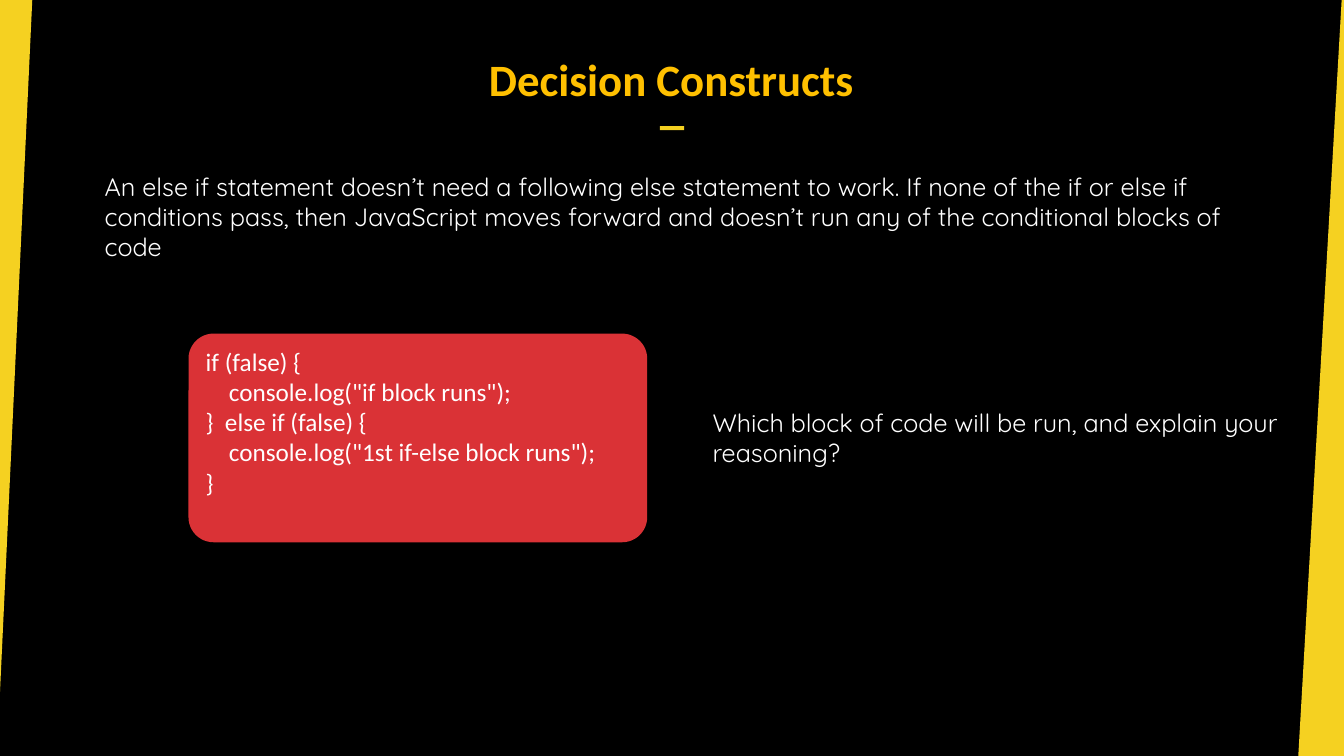
import pptx
import pptx.dml.color
import pptx.enum.shapes
import pptx.enum.text
import pptx.util

COLOURS = {
    "black": "000000",
    "yellow": "F5D121",
    "gold": "FFC000",
    "red": "DA3236",
    "white": "FFFFFF",
}
WIDTH = pptx.util.Inches(13.333)
HEIGHT = pptx.util.Inches(7.5)
CODE_INDENT = pptx.util.Inches(0.23)
ANCHOR = pptx.enum.text.MSO_ANCHOR
ALIGN = pptx.enum.text.PP_ALIGN
SHAPE = pptx.enum.shapes.MSO_SHAPE

TITLE_FONT = {"name": "Calibri", "size": pptx.util.Pt(32), "bold": True}
CODE_FONT = {"name": "Calibri", "size": pptx.util.Pt(18)}
PROSE_FONT = {"name": "Quicksand", "size": pptx.util.Pt(18)}

STATEMENT = (
    "An else if statement doesn’t need a following else statement to work. "
    "If none of the if or else if conditions pass, then JavaScript moves forward "
    "and doesn’t run any of the conditional blocks of code"
)
QUESTION = "Which block of code will be run, and explain your reasoning?"
CODE_LINES = [
    (0, "if (false) {"),
    (1, 'console.log("if block runs");'),
    (0, "}\u00a0 else if (false) {"),
    (1, 'console.log("1st if-else block runs");'),
    (0, "}"),
]


def across(percent):
    return round(WIDTH * percent / 100)


def down(percent):
    return round(HEIGHT * percent / 100)


def area(left, top, width, height):
    return across(left), down(top), across(width), down(height)


def apply(target, values):
    for name, value in values.items():
        setattr(target, name, value)


def colour(name):
    return pptx.dml.color.RGBColor.from_string(COLOURS[name])


def paint(shape, name):
    shape.shadow.inherit = False
    shape.fill.solid()
    shape.fill.fore_color.rgb = colour(name)
    shape.line.fill.background()


def write(shape, lines, font, ink="white", align=ALIGN.LEFT, **frame_format):
    frame = shape.text_frame
    apply(frame, {"word_wrap": True, "vertical_anchor": ANCHOR.TOP, **frame_format})
    for number, (level, words) in enumerate(lines):
        para = frame.add_paragraph() if number else frame.paragraphs[0]
        para.alignment = align
        if level:
            para._p.get_or_add_pPr().set("marL", str(level * CODE_INDENT))
        span = para.add_run()
        span.text = words
        apply(span.font, font)
        span.font.color.rgb = colour(ink)


def add_wedge(page, corners):
    points = [(across(x), down(y)) for x, y in corners]
    builder = page.shapes.build_freeform(*points[0])
    builder.add_line_segments(points[1:], close=True)
    paint(builder.convert_to_shape(), "yellow")


def add_box(page, kind, place, fill):
    box = page.shapes.add_shape(kind, *area(*place))
    paint(box, fill)
    return box


def add_prose(page, place, words):
    write(page.shapes.add_textbox(*area(*place)), [(0, words)], PROSE_FONT)


def add_title(page, place, words):
    title = page.shapes.title
    apply(title, dict(zip(("left", "top", "width", "height"), area(*place))))
    write(title, [(0, words)], TITLE_FONT, "gold", ALIGN.CENTER,
          vertical_anchor=ANCHOR.BOTTOM, margin_left=0, margin_right=0, margin_bottom=0)


def main():
    deck = pptx.Presentation()
    apply(deck, {"slide_width": WIDTH, "slide_height": HEIGHT})
    page = deck.slides.add_slide(deck.slide_layouts[5])
    page.background.fill.solid()
    page.background.fill.fore_color.rgb = colour("black")

    add_wedge(page, [(0, 0), (2.4, 0), (0, 91.5)])
    add_wedge(page, [(99.83, 0), (100, 0), (100, 100), (96.6, 100)])
    add_title(page, (35.63, 4, 28.65, 10), "Decision Constructs")
    add_box(page, SHAPE.RECTANGLE, (49.1, 16.67, 1.8, 0.53), "yellow")
    add_prose(page, (7.05, 22, 85.88, 13.5), STATEMENT)

    code = add_box(page, SHAPE.ROUNDED_RECTANGLE, (14.03, 44.13, 34.13, 27.6), "red")
    code.adjustments[0] = 0.12
    write(code, CODE_LINES, CODE_FONT)
    add_prose(page, (52.28, 53.2, 44.33, 13.5), QUESTION)

    deck.save("out.pptx")


if __name__ == "__main__":
    main()
